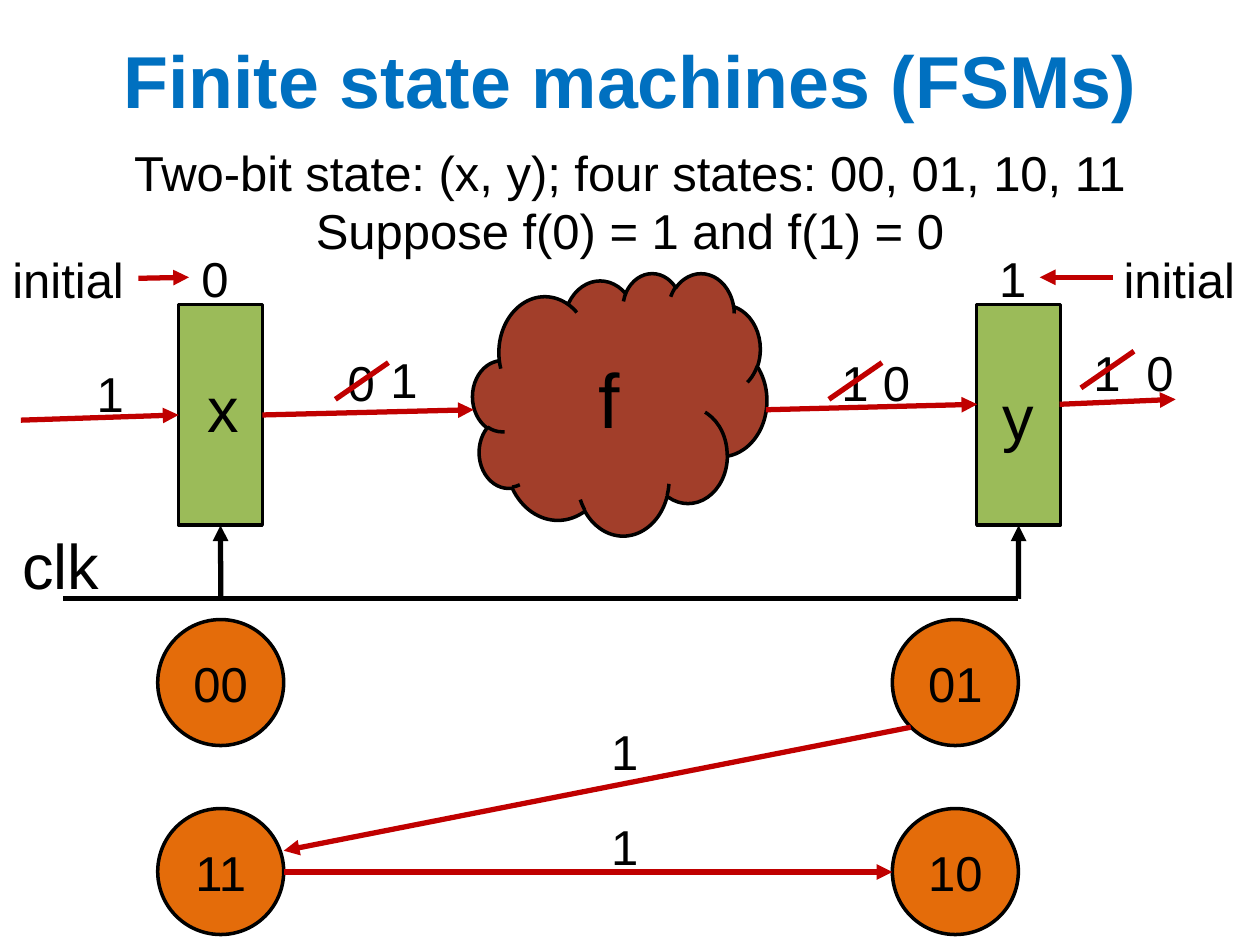
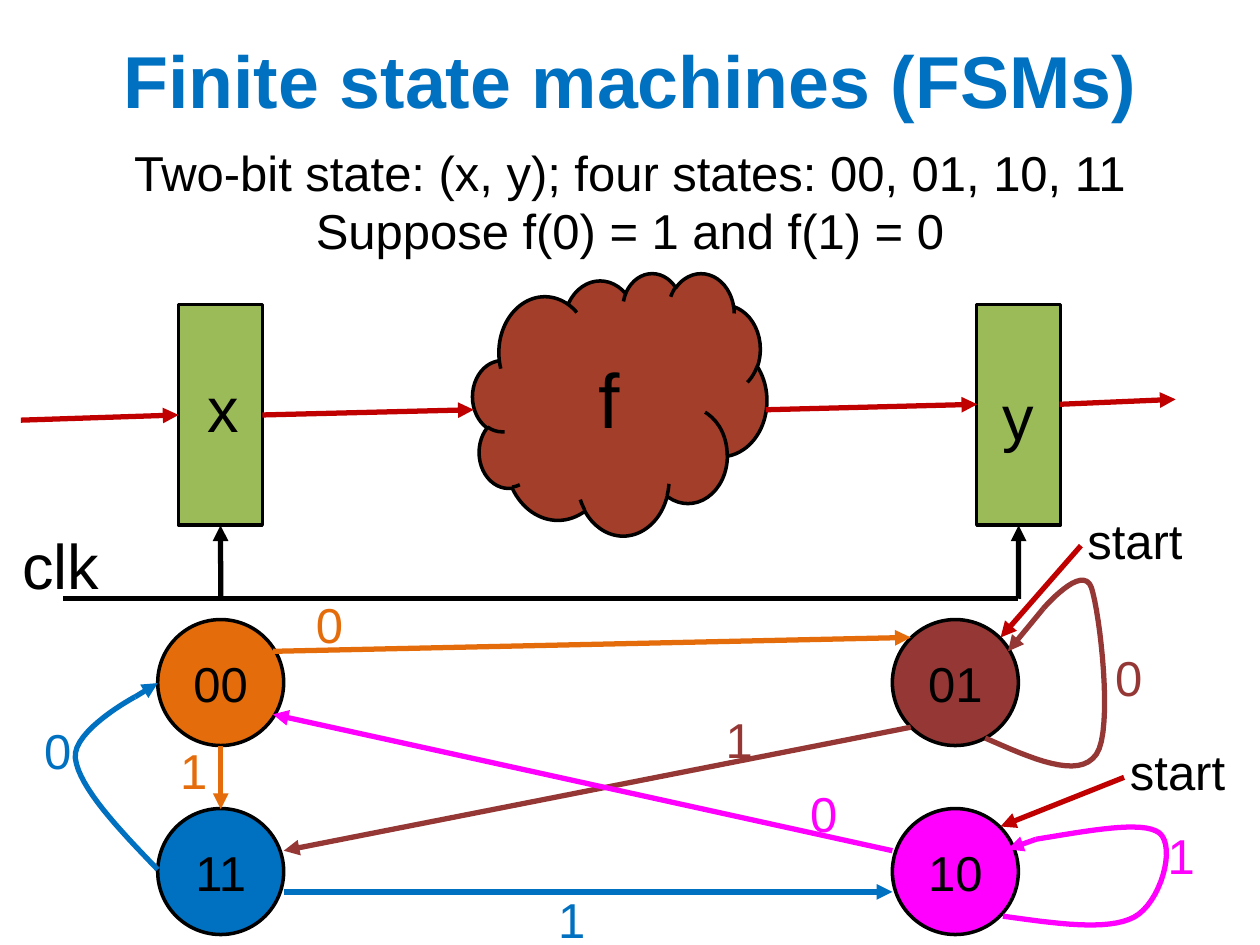
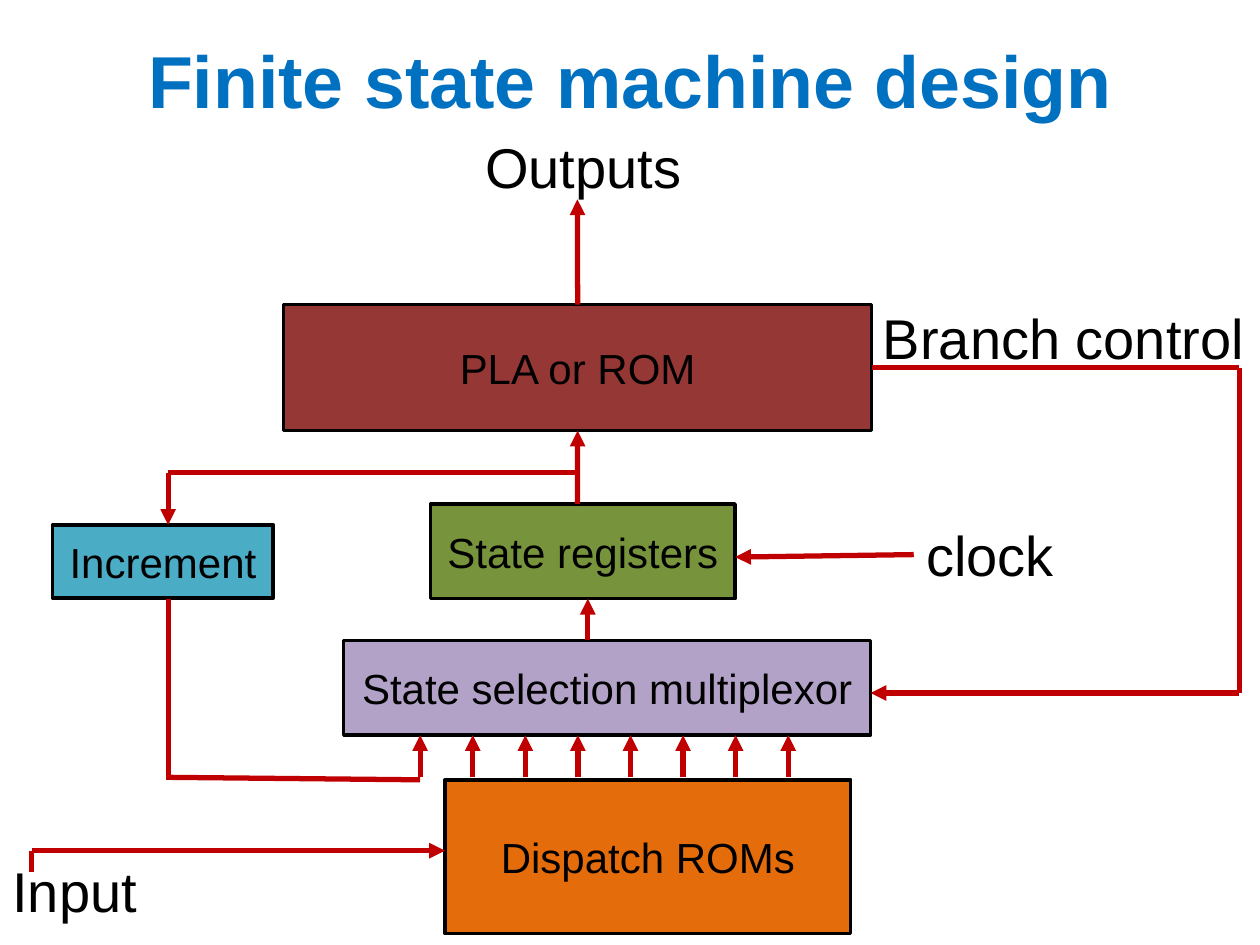
from lxml import etree
from pptx import Presentation
from pptx.dml.color import RGBColor
from pptx.enum.shapes import MSO_CONNECTOR as CONN, MSO_SHAPE as SHAPE
from pptx.enum.text import MSO_ANCHOR as ANCHOR, MSO_AUTO_SIZE as AUTO, PP_ALIGN as ALIGN
from pptx.oxml.ns import qn
from pptx.util import Cm, Pt

COLORS = {
    "title": "0070C0", "black": "000000", "red": "C00000", "brick": "A23E2A",
    "leaf": "9BBB59", "olive": "77933C", "orange": "E46C0A", "maroon": "953735",
    "blue": "0070C0", "magenta": "FF00FF", "teal": "4BACC6", "lilac": "B3A2C7",
}
FONT = "Arial"
WIDTH, HEIGHT = 25.4, 19.05
TOP, LEFT, BOTTOM, RIGHT = range(4)  # connection sites of a rectangle

DIAMETER = 2.54
STATES = {"00": (3.18, 12.49), "11": (3.18, 16.3),
          "01": (17.99, 12.49), "10": (17.99, 16.3)}


def rgb(name):
    return RGBColor.from_string(COLORS[name])


def bezier(p0, p1, p2, p3, steps=16):
    """Points of a cubic curve, without its first one."""
    points = []
    for i in range(1, steps + 1):
        t = i / steps
        u = 1 - t
        weights = (u**3, 3 * u * u * t, 3 * u * t * t, t**3)
        points.append(tuple(sum(w * p[axis] for w, p in zip(weights, (p0, p1, p2, p3)))
                            for axis in (0, 1)))
    return points


class Deck:
    def __init__(self):
        self.prs = Presentation()
        self.prs.slide_width, self.prs.slide_height = Cm(WIDTH), Cm(HEIGHT)
        self.s = None

    def slide(self, title):
        self.s = self.prs.slides.add_slide(self.prs.slide_layouts[5])
        sp = self.s.shapes.title
        sp.left, sp.top, sp.width, sp.height = Cm(0), Cm(0), Cm(WIDTH), Cm(3.18)
        sp.text_frame.auto_size = AUTO.NONE
        self.fill_text(sp.text_frame, [title], 42, "title", ALIGN.CENTER, ANCHOR.MIDDLE,
                       bold=True)

    def fill_text(self, tf, lines, size, color, align, anchor, bold=False):
        tf.vertical_anchor = anchor
        for i, line in enumerate(lines):
            p = tf.add_paragraph() if i else tf.paragraphs[0]
            p.alignment = align
            r = p.add_run()
            r.text = line
            r.font.name, r.font.size, r.font.bold = FONT, Pt(size), bold
            r.font.color.rgb = rgb(color)

    def box(self, kind, x, y, w, h, fill, text=None, size=24):
        sp = self.s.shapes.add_shape(kind, Cm(x), Cm(y), Cm(w), Cm(h))
        sp.shadow.inherit = False
        sp.fill.solid()
        sp.fill.fore_color.rgb = rgb(fill)
        sp.line.color.rgb = rgb("black")
        sp.line.width = Pt(2)
        if text:
            self.fill_text(sp.text_frame, [text], size, "black", ALIGN.CENTER, ANCHOR.MIDDLE)
        return sp

    def text(self, x, y, w, h, lines, size=28, color="black", align=ALIGN.LEFT, wrap=False):
        tf = self.s.shapes.add_textbox(Cm(x), Cm(y), Cm(w), Cm(h)).text_frame
        tf.word_wrap = wrap
        tf.auto_size = AUTO.SHAPE_TO_FIT_TEXT
        self.fill_text(tf, lines, size, color, align, ANCHOR.TOP)

    def bit(self, digit, x, y, color="black"):
        self.text(x, y, 1.07, 1.45, [digit], color=color)

    def line(self, start, end, color="red", arrow=False):
        """Each end is an (x, y) point or a (shape, site) pair."""
        glued = [not isinstance(e[0], (int, float)) for e in (start, end)]
        (x1, y1), (x2, y2) = [(0, 0) if g else e for g, e in zip(glued, (start, end))]
        c = self.s.shapes.add_connector(CONN.STRAIGHT, Cm(x1), Cm(y1), Cm(x2), Cm(y2))
        if glued[0]:
            c.begin_connect(*start)
        if glued[1]:
            c.end_connect(*end)
        c.line.color.rgb = rgb(color)
        c.line.width = Pt(3)
        props = c._element.spPr
        if arrow:
            etree.SubElement(props.find(qn("a:ln")), qn("a:tailEnd"), type="triangle")
        etree.SubElement(props, qn("a:effectLst"))

    def arrow(self, start, end, color="red"):
        self.line(start, end, color, arrow=True)

    def loop(self, start, curves, tip, color):
        """A curved transition that ends in a short straight arrow."""
        points = [start]
        for curve in curves:
            points += bezier(points[-1], *curve)
        fb = self.s.shapes.build_freeform(Cm(start[0]), Cm(start[1]))
        fb.add_line_segments([(Cm(x), Cm(y)) for x, y in points[1:]], close=False)
        sp = fb.convert_to_shape()
        sp.shadow.inherit = False
        sp.fill.background()
        sp.line.color.rgb = rgb(color)
        sp.line.width = Pt(3)
        self.arrow(points[-1], tip, color)


def circuit(d, fills):
    """The two registers, the logic between them, the clock and the four states."""
    d.slide("Finite state machines (FSMs)")
    d.box(SHAPE.CLOUD, 9.53, 5.5, 5.93, 5.29, "brick", "f", 44)
    reg_x = d.box(SHAPE.RECTANGLE, 3.6, 6.14, 1.69, 4.45, "leaf")
    reg_y = d.box(SHAPE.RECTANGLE, 19.69, 6.14, 1.69, 4.45, "leaf", "y", 36)

    # Data path
    d.arrow((0.42, 8.47), (reg_x, LEFT))
    d.arrow((reg_x, RIGHT), (9.55, 8.26))
    d.arrow((15.44, 8.26), (19.7, 8.15))
    d.arrow((21.36, 8.15), (23.7, 8.05))

    # Clock
    d.line((1.27, 12.07), (20.53, 12.07), "black")
    d.arrow((20.53, 12.07), (reg_y, BOTTOM), "black")
    d.arrow((4.45, 12.07), (reg_x, BOTTOM), "black")

    d.text(3.94, 7.32, 1.14, 1.8, ["x"], 36)
    d.text(0.2, 10.49, 2.08, 1.8, ["clk"], 36)
    d.text(0, 2.74, WIDTH, 2.64,
           ["Two-bit state: (x, y); four states: 00, 01, 10, 11",
            "Suppose f(0) = 1 and f(1) = 0"], align=ALIGN.CENTER, wrap=True)

    # States
    for name, (x, y) in STATES.items():
        d.box(SHAPE.OVAL, x, y, DIAMETER, DIAMETER, fills[name], name, 28)


def trace_slide(d):
    circuit(d, dict.fromkeys(STATES, "orange"))

    # Initial values
    for x in (0, 22.4):
        d.text(x, 4.9, 2.79, 1.45, ["initial"])
    d.arrow((2.79, 5.61), (3.81, 5.59))
    d.arrow((22.43, 5.59), (20.96, 5.59))

    # Bits on the wires and on the transitions
    for digit, x, y in [("0", 3.81, 4.88), ("1", 19.89, 4.88), ("1", 1.7, 7.21),
                        ("0", 6.76, 6.99), ("1", 7.62, 6.93),
                        ("1", 16.71, 6.99), ("0", 17.55, 6.99),
                        ("1", 21.79, 6.78), ("0", 22.86, 6.78),
                        ("1", 12.07, 14.43), ("1", 12.07, 16.33)]:
        d.bit(digit, x, y)

    # Strokes through the old bits
    for x, y in [(6.76, 8.05), (16.71, 8.05), (21.79, 7.82)]:
        d.line((x, y), (x + 1.07, y - 0.74))

    d.arrow((18.36, 14.66), (5.72, 17.15))
    d.arrow((5.72, 17.58), (17.99, 17.58))


def diagram_slide(d):
    circuit(d, {"00": "orange", "11": "blue", "01": "maroon", "10": "magenta"})

    # Straight transitions
    for start, end, color in [((18.36, 14.66), (5.72, 17.15), "maroon"),
                              ((5.72, 17.98), (17.99, 17.98), "blue"),
                              ((17.99, 17.15), (5.5, 14.4), "magenta"),
                              ((5.5, 13.13), (18.36, 12.85), "orange"),
                              ((4.45, 15.04), (4.45, 16.31), "orange")]:
        d.arrow(start, end, color)

    # Curved transitions
    d.loop((19.86, 14.88),
           [((20.8, 15.29), (21.74, 15.72), (22.1, 15.21)),
            ((22.45, 14.71), (22.17, 12.34), (22, 11.84)),
            ((21.82, 11.35), (21.03, 12.27), (21.03, 12.27))],
           (20.32, 13.13), "maroon")
    d.loop((20.22, 18.47),
           [((21.29, 18.62), (22.33, 18.77), (22.86, 18.49)),
            ((23.39, 18.21), (23.72, 17.07), (23.37, 16.79)),
            ((23.04, 16.54), (21.97, 16.74), (20.88, 16.92))],
           (20.32, 17.12), "magenta")
    d.loop((3.18, 17.53),
           [((2.39, 16.71), (1.6, 15.88), (1.52, 15.29)),
            ((1.45, 14.73), (2.72, 14.05), (2.72, 14.05))],
           (3.18, 13.77), "blue")

    # Input bit of each transition
    for digit, x, y, color in [("0", 22.23, 12.93, "maroon"), ("1", 14.38, 14.17, "maroon"),
                               ("1", 11, 17.81, "blue"), ("0", 0.64, 14.4, "blue"),
                               ("0", 16.08, 15.67, "magenta"), ("1", 23.29, 16.51, "magenta"),
                               ("0", 6.12, 11.86, "orange"), ("1", 3.38, 14.81, "orange")]:
        d.bit(digit, x, y, color)

    # Start states
    for x, y in [(21.67, 10.16), (22.53, 14.83)]:
        d.text(x, y, 2.46, 1.45, ["start"])
    d.arrow((21.79, 11), (20.17, 12.85))
    d.arrow((22.66, 15.67), (20.17, 16.66))


def design_slide(d):
    d.slide("Finite state machine design")

    # Blocks
    pla = d.box(SHAPE.RECTANGLE, 5.72, 6.14, 11.85, 2.54, "maroon", "PLA or ROM")
    for x, y, w, h, fill, name in [
            (8.68, 10.16, 6.14, 1.91, "olive", "State registers"),
            (1.06, 10.58, 4.45, 1.48, "teal", "Increment"),
            (6.93, 12.91, 10.62, 1.91, "lilac", "State selection multiplexor"),
            (8.97, 15.72, 8.18, 3.1, "orange", "Dispatch ROMs")]:
        d.box(SHAPE.RECTANGLE, x, y, w, h, fill, name)

    # Signal names
    for x, y, w, name in [(0, 17.15, 3.05, "Input"), (18.42, 10.36, 3.1, "clock"),
                          (9.53, 2.54, 4.5, "Outputs"), (17.55, 5.99, 7.85, "Branch control")]:
        d.text(x, y, w, 1.63, [name], 32)

    # Outputs, state and clock
    d.arrow((pla, TOP), (11.64, 4.02))
    d.arrow((11.64, 10.16), (pla, BOTTOM))
    d.arrow((11.85, 12.91), (11.85, 12.07))
    d.arrow((18.42, 11.18), (14.82, 11.23))

    # Branch control
    d.line((pla, RIGHT), (24.98, 7.41))
    d.line((24.98, 13.97), (24.98, 7.41))
    d.arrow((24.98, 13.97), (17.55, 13.97))

    # Increment path
    d.line((11.64, 9.53), (3.39, 9.53))
    d.arrow((3.39, 9.53), (3.39, 10.58))
    d.line((3.39, 15.72), (3.39, 12.07))
    d.line((8.47, 15.72), (3.39, 15.67))

    # Multiplexor inputs
    for i in range(8):
        x = 8.47 + 1.06 * i
        d.arrow((x, 15.67), (x, 14.82))

    # Input path
    d.line((0.64, 17.58), (0.64, 17.15))
    d.arrow((0.64, 17.15), (8.97, 17.15))


def main():
    d = Deck()
    trace_slide(d)
    diagram_slide(d)
    design_slide(d)
    d.prs.save("out.pptx")


if __name__ == "__main__":
    main()
